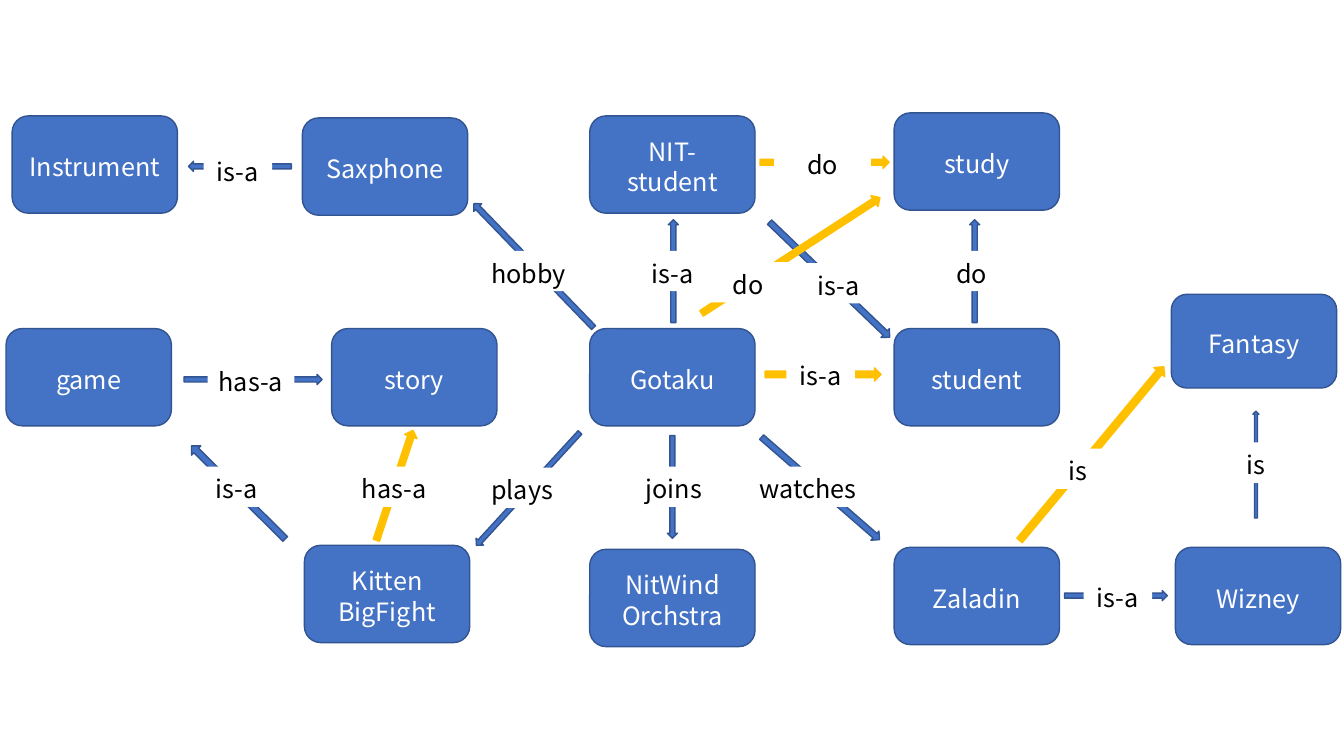
from collections import namedtuple
from pptx import Presentation
from pptx.dml.color import RGBColor
from pptx.enum.shapes import MSO_SHAPE
from pptx.enum.text import MSO_ANCHOR, PP_ALIGN
from pptx.util import Inches, Pt

BLUE = RGBColor(0x44, 0x72, 0xC4)
NAVY = RGBColor(0x32, 0x54, 0x91)
GOLD = RGBColor(0xFF, 0xC0, 0x00)
WHITE = RGBColor(0xFF, 0xFF, 0xFF)
BLACK = RGBColor(0x00, 0x00, 0x00)
FONT = "Noto Sans CJK JP"

COLS, ROWS = 133.33, 75
NODE_W, NODE_H = 16.4, 9.65
TAG_H = 4
TAG_W = {"is-a": 6.8, "is": 6.8, "do": 9.6, "has-a": 8.6, "hobby": 9.7,
         "plays": 9, "joins": 13.9, "watches": 12.5}

Area = namedtuple("Area", "left top width height")
Link = namedtuple("Link", "word tag mid size turn thick")

LEFT, MID, RIGHT, FAR = 0.9, 58.5, 88.7, 116.4
TOP, CORE, BASE = 11.5, 32.6, 54.3

NODES = [
    ("Kitten\nBigFight", 30.2, BASE - 0.2),
    ("Saxphone", 30, TOP + 0.2),
    ("Gotaku", MID, CORE),
    ("NitWind\nOrchstra", MID, BASE + 0.2),
    ("NIT-student", MID, TOP),
    ("Instrument", LEFT + 0.3, TOP),
    ("Wizney", FAR + 0.2, BASE),
    ("Zaladin", RIGHT, BASE),
    ("study", RIGHT, TOP - 0.3),
    ("student", RIGHT, CORE),
    ("story", 32.9, CORE),
    ("game", LEFT - 0.3, CORE),
    ("Fantasy", FAR - 0.2, 29.2, 9.3),
]

FACTS = [
    Link("hobby", (52.45, 26.9), (52.95, 26.35), 17.1, 316, 1.1),
    Link("is-a", (23.6, 16.8), (23.8, 16.5), 10.2, 270, 1),
    Link("is-a", (66.7, 26.9), (66.8, 26.9), 10.2, 0, 1),
    Link("do", (96.4, 26.9), (96.7, 26.9), 10.2, 0, 1),
    Link("is-a", (83.2, 28.1), (82.3, 27.75), 16.5, 133.8, 1.2),
    Link("is-a", (110.9, 59.1), (110.7, 59.1), 10.2, 90, 1),
    Link("is", (124.6, 45.9), (124.6, 46.1), 10.6, 0, 0.6),
    Link("watches", (80.15, 48.3), (81.4, 48.45), 15.5, 131, 1.2),
    Link("joins", (66.85, 48.3), (66.7, 48.3), 10.2, 180, 1),
    Link("is-a", (23.5, 48.3), (23.65, 48.85), 13.1, 314.8, 1.3),
    Link("plays", (51.8, 48.4), (52.4, 48.5), 15.2, 222.5, 1),
    Link("has-a", (24.9, 37.6), (25.1, 37.65), 13.7, 90, 1),
]

GUESSES = [
    Link("has-a", (39.1, 48.3), (39.15, 48.15), 11.5, 18.4, 1.3),
    Link("is-a", (81.4, 37), (81.65, 37.15), 11.5, 90, 1.3),
    Link("do", (81.6, 16.1), (81.8, 16.1), 12.8, 90, 1.2),
    Link("is", (106.9, 46.5), (108.3, 45), 22.4, 39.7, 1.4),
    Link("do", (74.2, 28), (78.45, 25.35), 21.1, 57, 1.3),
]


def put(slide, area, kind, mid, width, height, fill, edge=None):
    col, row = area.width / COLS, area.height / ROWS
    shape = slide.shapes.add_shape(
        kind,
        int(area.left + (mid[0] - width / 2) * col),
        int(area.top + (mid[1] - height / 2) * row),
        int(width * col), int(height * row))
    shape.shadow.inherit = False
    shape.fill.solid()
    shape.fill.fore_color.rgb = fill
    if edge is None:
        shape.line.fill.background()
    else:
        shape.line.color.rgb = edge
        shape.line.width = Pt(1)
    return shape


def write(shape, text, color=BLACK, size=18, anchor=MSO_ANCHOR.TOP):
    frame = shape.text_frame
    frame.word_wrap = True
    frame.vertical_anchor = anchor
    frame.margin_top, frame.margin_bottom = Inches(0.07), Inches(0.03)
    frame.text = text
    for para in frame.paragraphs:
        para.alignment = PP_ALIGN.CENTER
        para.line_spacing = Pt(size * 1.2)
        for run in para.runs:
            run.font.name = FONT
            run.font.size = Pt(size)
            run.font.color.rgb = color


def draw_nodes(slide, area):
    for name, left, top, *rest in NODES:
        high = rest[0] if rest else NODE_H
        mid = (left + NODE_W / 2, top + high / 2)
        node = put(slide, area, MSO_SHAPE.ROUNDED_RECTANGLE, mid,
                   NODE_W, high, BLUE, NAVY)
        write(node, name, color=WHITE, anchor=MSO_ANCHOR.MIDDLE)


def draw_links(slide, area, links, fill, edge):
    for link in links:
        arrow = put(slide, area, MSO_SHAPE.UP_ARROW, link.mid,
                    link.thick, link.size, fill, edge)
        arrow.rotation = link.turn
        tag = put(slide, area, MSO_SHAPE.RECTANGLE, link.tag,
                  TAG_W[link.word], TAG_H, WHITE)
        write(tag, link.word)


def main():
    deck = Presentation()
    deck.slide_width, deck.slide_height = Inches(13.33), Inches(7.5)
    slide = deck.slides.add_slide(deck.slide_layouts[6])
    area = Area(0, 0, deck.slide_width, deck.slide_height)
    draw_nodes(slide, area)
    draw_links(slide, area, FACTS, BLUE, NAVY)
    draw_links(slide, area, GUESSES, GOLD, GOLD)
    deck.save("out.pptx")


if __name__ == "__main__":
    main()
